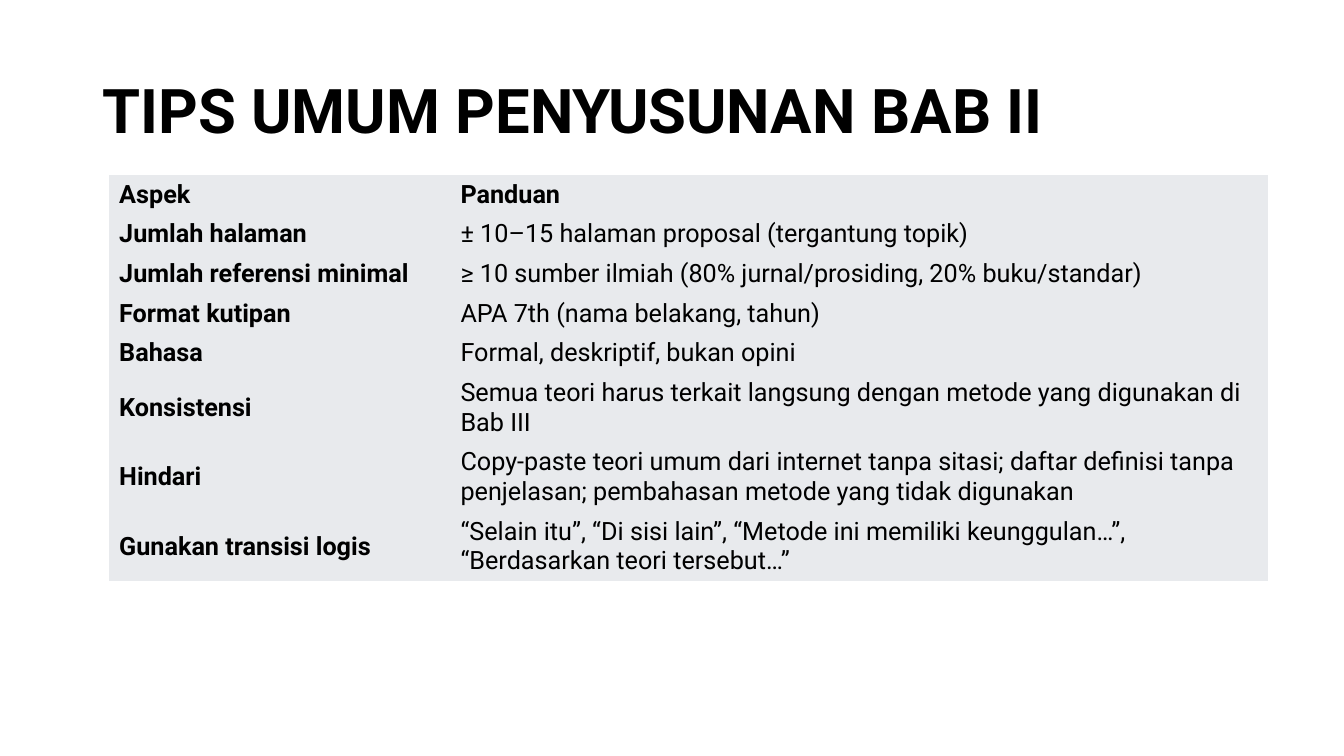
from pptx import Presentation, util as u
from pptx.dml.color import RGBColor
from pptx.enum import text

COLORS = {"text": "000000", "cell": "E8EAED"}
NO_GRID_STYLE = "{2D5ABB26-0587-4C30-8999-92F81FD0307C}"
LINE_HEIGHT, ROW_PADDING = 0.75, 0.25

# Aspect, guidance, number of text lines
TIPS = [
    ("Aspek", "Panduan", 1),
    ("Jumlah halaman", "± 10–15 halaman proposal (tergantung topik)", 1),
    ("Jumlah referensi minimal",
     "≥ 10 sumber ilmiah (80% jurnal/prosiding, 20% buku/standar)", 1),
    ("Format kutipan", "APA 7th (nama belakang, tahun)", 1),
    ("Bahasa", "Formal, deskriptif, bukan opini", 1),
    ("Konsistensi",
     "Semua teori harus terkait langsung dengan metode yang digunakan di Bab III", 2),
    ("Hindari",
     "Copy-paste teori umum dari internet tanpa sitasi; daftar definisi tanpa "
     "penjelasan; pembahasan metode yang tidak digunakan", 2),
    ("Gunakan transisi logis",
     "“Selain itu”, “Di sisi lain”, “Metode ini memiliki keunggulan…”, "
     "“Berdasarkan teori tersebut…”", 2),
]


class Deck:
    """Holds the text style and the current slide."""

    font = "Roboto"

    def __init__(self):
        self.prs = Presentation()
        self.prs.slide_width, self.prs.slide_height = u.Inches(13.333), u.Inches(7.5)
        self.s = self.prs.slides.add_slide(self.prs.slide_layouts[5])

    def style(self, p, size, bold):
        p.alignment = text.PP_ALIGN.LEFT
        p.font.name, p.font.size, p.font.bold = self.font, u.Pt(size), bold
        p.font.color.rgb = RGBColor.from_string(COLORS["text"])

    def title(self, words, left, top, width, height):
        sp = self.s.shapes.title
        sp.left, sp.top, sp.width, sp.height = map(u.Cm, (left, top, width, height))
        tf = sp.text_frame
        tf.text = words
        tf.auto_size = text.MSO_AUTO_SIZE.NONE
        tf.vertical_anchor = text.MSO_ANCHOR.MIDDLE
        p = tf.paragraphs[0]
        p.line_spacing = 0.9
        self.style(p, 44, True)

    def table(self, rows, left, top, widths):
        """Draw a table whose first row and first column are bold."""
        heights = [ROW_PADDING + LINE_HEIGHT * lines for *_, lines in rows]
        frame = self.s.shapes.add_table(
            len(rows), len(widths), u.Cm(left), u.Cm(top),
            u.Cm(sum(widths)), u.Cm(sum(heights)))
        tbl = frame.table
        tbl.first_row = tbl.horz_banding = False
        tbl._tbl.tblPr[0].text = NO_GRID_STYLE
        for column, width in zip(tbl.columns, widths):
            column.width = u.Cm(width)
        for i, (*words, _) in enumerate(rows):
            tbl.rows[i].height = u.Cm(heights[i])
            for j, word in enumerate(words):
                cell = tbl.cell(i, j)
                cell.text = word
                cell.vertical_anchor = text.MSO_ANCHOR.MIDDLE
                cell.fill.solid()
                cell.fill.fore_color.rgb = RGBColor.from_string(COLORS["cell"])
                self.style(cell.text_frame.paragraphs[0], 18, i == 0 or j == 0)


def main():
    deck = Deck()
    deck.title("TIPS UMUM PENYUSUNAN BAB II", 2.33, 1.01, 29.21, 3.68)
    deck.table(TIPS, 2.75, 4.4, (8.6, 20.6))
    deck.prs.save("out.pptx")


if __name__ == "__main__":
    main()
